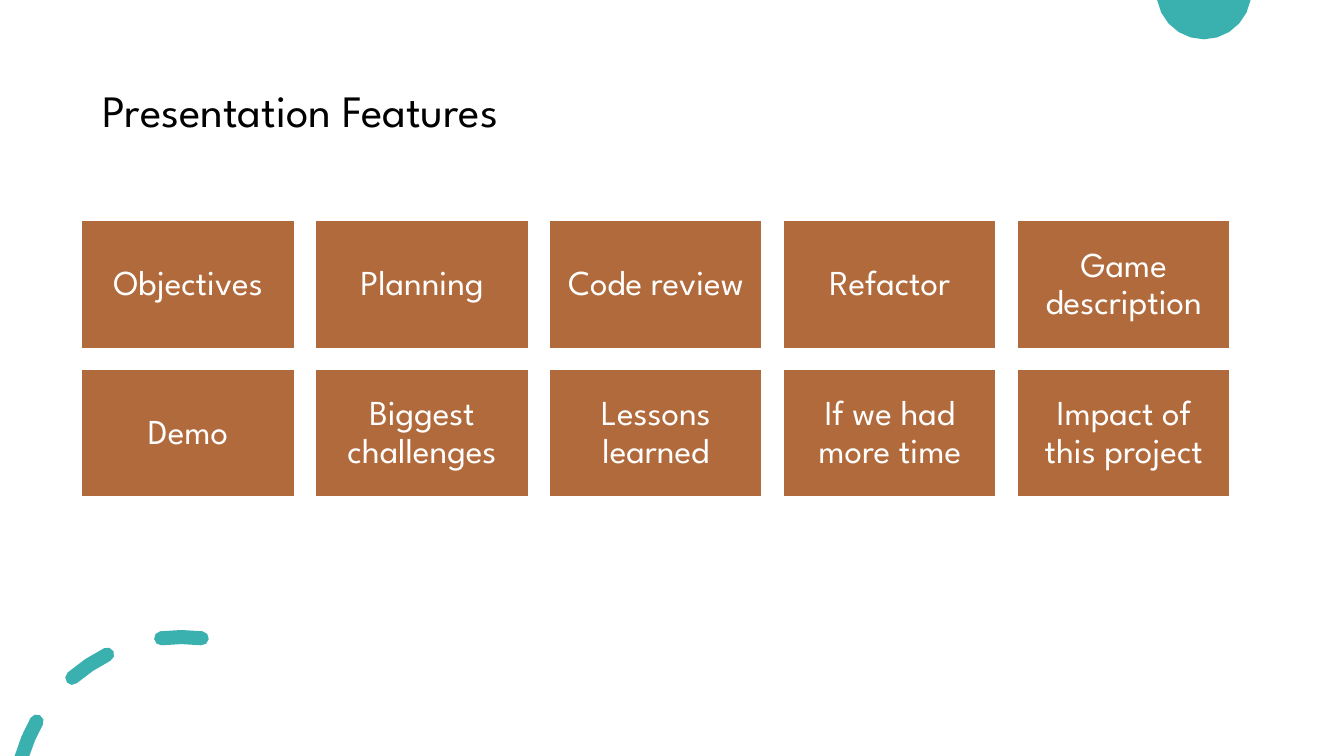
from math import acos, cos, degrees, radians, sin

from pptx import Presentation
from pptx.dml.color import RGBColor
from pptx.enum.shapes import MSO_SHAPE
from pptx.enum.text import MSO_ANCHOR, MSO_AUTO_SIZE, PP_ALIGN
from pptx.util import Inches, Pt

RECTANGLE = MSO_SHAPE.RECTANGLE
MIDDLE = MSO_ANCHOR.MIDDLE
NO_AUTOFIT = MSO_AUTO_SIZE.NONE
LEFT, CENTER = PP_ALIGN.LEFT, PP_ALIGN.CENTER

SLIDE_WIDTH, SLIDE_HEIGHT = 13.33, 7.5
FONT = "League Spartan"
TEAL, BROWN, WHITE, BLACK = "3BB1AF", "B16A3B", "FFFFFF", "000000"
TITLE_ONLY_LAYOUT = 5
COLUMNS = 5
FEATURES = [
    "Objectives", "Planning", "Code review", "Refactor", "Game description",
    "Demo", "Biggest challenges", "Lessons learned", "If we had more time",
    "Impact of this project",
]


def rgb(hex_color):
    return RGBColor.from_string(hex_color)


def format_text(shape, text, size, color, alignment):
    frame = shape.text_frame
    frame.text = text
    frame.word_wrap = True
    frame.auto_size = NO_AUTOFIT
    frame.vertical_anchor = MIDDLE
    paragraph = frame.paragraphs[0]
    paragraph.alignment = alignment
    paragraph.line_spacing = 0.9
    paragraph.font.name = FONT
    paragraph.font.size = Pt(size)
    paragraph.font.color.rgb = rgb(color)
    return frame


def arc(center_x, center_y, radius, start, end, steps):
    """Return points along an arc; angles are degrees clockwise from the top."""
    angles = [radians(start + (end - start) * step / steps) for step in range(steps + 1)]
    return [(center_x + radius * sin(angle), center_y - radius * cos(angle))
            for angle in angles]


def add_outline(slide, contours, color):
    """Draw closed contours, given in inches, as one filled freeform."""
    contours = [[(Inches(x), Inches(y)) for x, y in contour] for contour in contours]
    builder = slide.shapes.build_freeform(*contours[0][0])
    for index, contour in enumerate(contours):
        if index:
            builder.move_to(*contour[0])
        builder.add_line_segments(contour[1:], close=True)
    shape = builder.convert_to_shape()
    shape.shadow.inherit = False
    shape.fill.solid()
    shape.fill.fore_color.rgb = rgb(color)
    shape.line.fill.background()


def add_top_circle(slide, center_x, center_y, radius):
    """Draw the part of a circle that lies below the slide's top edge."""
    edge = degrees(acos(center_y / radius))
    add_outline(slide, [arc(center_x, center_y, radius, edge, 360 - edge, 10)], TEAL)


def add_dashed_ring(slide, center_x, center_y, radius, half_width):
    """Draw round-ended dashes; the last one is cut by the slide's bottom edge."""
    outer, inner = radius + half_width, radius - half_width

    def edge(edge_radius, start, end):
        return arc(center_x, center_y, edge_radius, start, end, 2)

    def cap(angle, turn):
        middle_x, middle_y = edge(radius, angle, angle)[0]
        # The neighbouring edges already hold the first and last points.
        return arc(middle_x, middle_y, half_width, turn, turn + 180, 4)[1:-1]

    def bottom_angle(edge_radius):
        return -degrees(acos((center_y - SLIDE_HEIGHT) / edge_radius))

    contours = [
        edge(outer, start, end) + cap(end, end)
        + edge(inner, end, start) + cap(start, start + 180)
        for start, end in [(-7, 7), (-41, -26.5)]
    ]
    end = -60.5
    contours.append(edge(outer, bottom_angle(outer), end) + cap(end, end)
                    + edge(inner, end, bottom_angle(inner)))
    add_outline(slide, contours, TEAL)


def add_title(slide, left, top, width, height):
    title = slide.shapes.title
    title.left, title.top = Inches(left), Inches(top)
    title.width, title.height = Inches(width), Inches(height)
    format_text(title, "Presentation Features", 32, BLACK, LEFT)


def add_feature_grid(slide, left, top, width, height, gap):
    rows = len(FEATURES) // COLUMNS
    tile_width = (width - gap * (COLUMNS - 1)) / COLUMNS
    tile_height = (height - gap * (rows - 1)) / rows
    for index, feature in enumerate(FEATURES):
        row, column = divmod(index, COLUMNS)
        tile = slide.shapes.add_shape(
            RECTANGLE,
            Inches(left + column * (tile_width + gap)),
            Inches(top + row * (tile_height + gap)),
            Inches(tile_width), Inches(tile_height))
        tile.shadow.inherit = False
        tile.fill.solid()
        tile.fill.fore_color.rgb = rgb(BROWN)
        tile.line.color.rgb = rgb(WHITE)
        tile.line.width = Pt(1)
        frame = format_text(tile, feature, 25, WHITE, CENTER)
        frame.margin_left = frame.margin_right = Inches(0.1)
        frame.margin_top = frame.margin_bottom = Inches(0.1)


def main():
    presentation = Presentation()
    presentation.slide_width = Inches(SLIDE_WIDTH)
    presentation.slide_height = Inches(SLIDE_HEIGHT)
    slide = presentation.slides.add_slide(presentation.slide_layouts[TITLE_ONLY_LAYOUT])
    slide.background.fill.solid()
    slide.background.fill.fore_color.rgb = rgb(WHITE)
    add_top_circle(slide, 11.94, -0.08, 0.47)
    add_dashed_ring(slide, 1.8, 7.97, 1.65, 0.07)
    add_title(slide, 0.92, 0.4, 11.5, 1.45)
    add_feature_grid(slide, 0.81, 2.19, 11.39, 2.74, 0.21)
    presentation.save("out.pptx")


if __name__ == "__main__":
    main()
